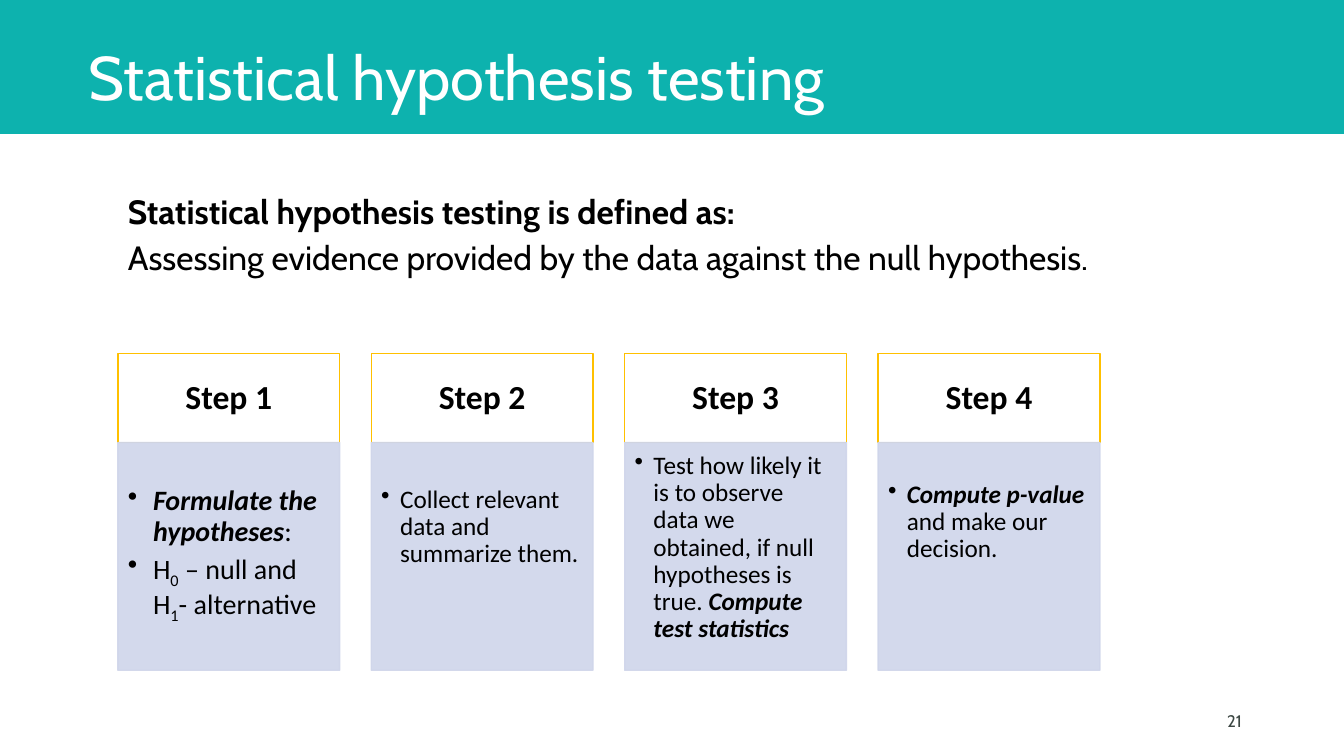
from lxml.etree import SubElement
from pptx import Presentation
from pptx.dml.color import RGBColor
from pptx.enum.shapes import MSO_SHAPE
from pptx.enum.text import MSO_ANCHOR, MSO_AUTO_SIZE, PP_ALIGN
from pptx.oxml.ns import qn
from pptx.util import Pt

COLORS = {
    "teal": "0DB2AE",
    "gold": "FFC000",
    "lavender": "CFD5EA",
    "black": "000000",
    "white": "FFFFFF",
    "number": "3C4743",
}
STEP_LEFT, STEP_PITCH, STEP_WIDTH = 84.24, 181, 158.4
HEAD_TOP, HEAD_HEIGHT, DETAIL_HEIGHT = 252.7, 63.4, 162.7

STEPS = [
    (31.5, 20, 18, [
        [("Formulate the hypotheses", "bi"), (":", "")],
        [("H", ""), ("0", "s"), (" – null and H", ""), ("1", "s"), ("- alternative", "")],
    ]),
    (31.5, 18, 13.5, [[("Collect relevant data and summarize them.", "")]]),
    (7.2, 18, 13.5, [[
        ("Test how likely it is to observe data we obtained, if null hypotheses is true. ", ""),
        ("Compute test statistics", "bi"),
    ]]),
    (28, 18, 13.5, [[("Compute p-value ", "bi"), ("and make our decision.", "")]]),
]


def rgb(name):
    return RGBColor.from_string(COLORS[name])


def style(para, font, size, color, bold=False):
    para.font.name = font
    para.font.size = Pt(size)
    para.font.color.rgb = rgb(color)
    para.font.bold = bold


def set_frame(box, insets, anchor):
    frame = box.text_frame
    frame.word_wrap = True
    frame.auto_size = MSO_AUTO_SIZE.NONE
    frame.vertical_anchor = anchor
    (frame.margin_left, frame.margin_top,
     frame.margin_right, frame.margin_bottom) = map(Pt, insets)
    return frame


def add_text(page, left, top, width, height, anchor):
    box = page.shapes.add_textbox(Pt(left), Pt(top), Pt(width), Pt(height))
    return set_frame(box, (7.2, 3.6, 7.2, 3.6), anchor)


def add_rectangle(page, left, top, width, height, fill, line, weight):
    box = page.shapes.add_shape(
        MSO_SHAPE.RECTANGLE, Pt(left), Pt(top), Pt(width), Pt(height))
    box.shadow.inherit = False
    if fill:
        box.fill.solid()
        box.fill.fore_color.rgb = rgb(fill)
    else:
        box.fill.background()
    box.line.color.rgb = rgb(line)
    box.line.width = Pt(weight)
    return box


def set_opacity(box, percent):
    for color in box.element.spPr.iter(qn("a:srgbClr")):
        SubElement(color, qn("a:alpha"), val=str(percent * 1000))


def add_bullet(para, indent):
    properties = para._p.get_or_add_pPr()
    properties.set("marL", str(Pt(indent)))
    properties.set("indent", str(-Pt(indent)))
    SubElement(properties, qn("a:buChar"), char="•")


def add_title(page, text):
    title = page.shapes.title
    title.left, title.top, title.width, title.height = map(Pt, (56.2, -22.3, 758.2, 107.3))
    frame = set_frame(title, (7.2, 3.6, 7.2, 3.6), MSO_ANCHOR.BOTTOM)
    para = frame.paragraphs[0]
    para.text = text
    para.alignment = PP_ALIGN.LEFT
    para.line_spacing = 0.9
    style(para, "Cabin", 44, "white")
    banner = add_rectangle(page, 0, 0, 960, 95, "teal", "teal", 1.5)
    title.element.addprevious(banner.element)


def add_definition(page, heading, definition):
    frame = add_text(page, 84.24, 138.2, 721.4, 92.9, MSO_ANCHOR.TOP)
    first, second = frame.paragraphs[0], frame.add_paragraph()
    second.space_before = Pt(10)
    for para, text, bold in ((first, heading, True), (second, definition, False)):
        para.text = text
        para.line_spacing = 0.8
        style(para, "Cabin", 24, "black", bold)


def add_step_head(page, left, text):
    box = add_rectangle(page, left, HEAD_TOP, STEP_WIDTH, HEAD_HEIGHT, None, "gold", 1)
    para = set_frame(box, (13.7, 8, 13.7, 8), MSO_ANCHOR.MIDDLE).paragraphs[0]
    para.text = text
    para.alignment = PP_ALIGN.CENTER
    para.line_spacing = 0.9
    style(para, "Calibri", 24, "black", True)


def add_step_detail(page, left, inset, size, indent, items):
    box = add_rectangle(page, left, HEAD_TOP + HEAD_HEIGHT, STEP_WIDTH, DETAIL_HEIGHT,
                        "lavender", "lavender", 1)
    set_opacity(box, 90)
    frame = set_frame(box, (7.2, inset, 9.6, 11), MSO_ANCHOR.TOP)
    for index, item in enumerate(items):
        para = frame.add_paragraph() if index else frame.paragraphs[0]
        add_bullet(para, indent)
        para.alignment = PP_ALIGN.LEFT
        para.line_spacing = 0.9
        para.space_after = Pt(3.6)
        style(para, "Calibri", size, "black")
        for text, marks in item:
            span = para.add_run()
            span.text = text
            if "b" in marks:
                span.font.bold = span.font.italic = True
            if "s" in marks:
                span._r.get_or_add_rPr().set("baseline", "-25000")


def add_page_number(page, number):
    para = add_text(page, 678.2, 500.4, 216, 28.8, MSO_ANCHOR.MIDDLE).paragraphs[0]
    para.text = number
    para.alignment = PP_ALIGN.RIGHT
    style(para, "Cabin", 12, "number")


def main():
    deck = Presentation()
    deck.slide_width, deck.slide_height = Pt(960), Pt(540)
    page = deck.slides.add_slide(deck.slide_layouts.get_by_name("Title Only"))
    add_title(page, "Statistical hypothesis testing")
    add_definition(page, "Statistical hypothesis testing is defined as:",
                   "Assessing evidence provided by the data against the null hypothesis.")
    for index, (inset, size, indent, items) in enumerate(STEPS):
        left = STEP_LEFT + index * STEP_PITCH
        add_step_head(page, left, f"Step {index + 1}")
        add_step_detail(page, left, inset, size, indent, items)
    add_page_number(page, "21")
    deck.save("out.pptx")


if __name__ == "__main__":
    main()
